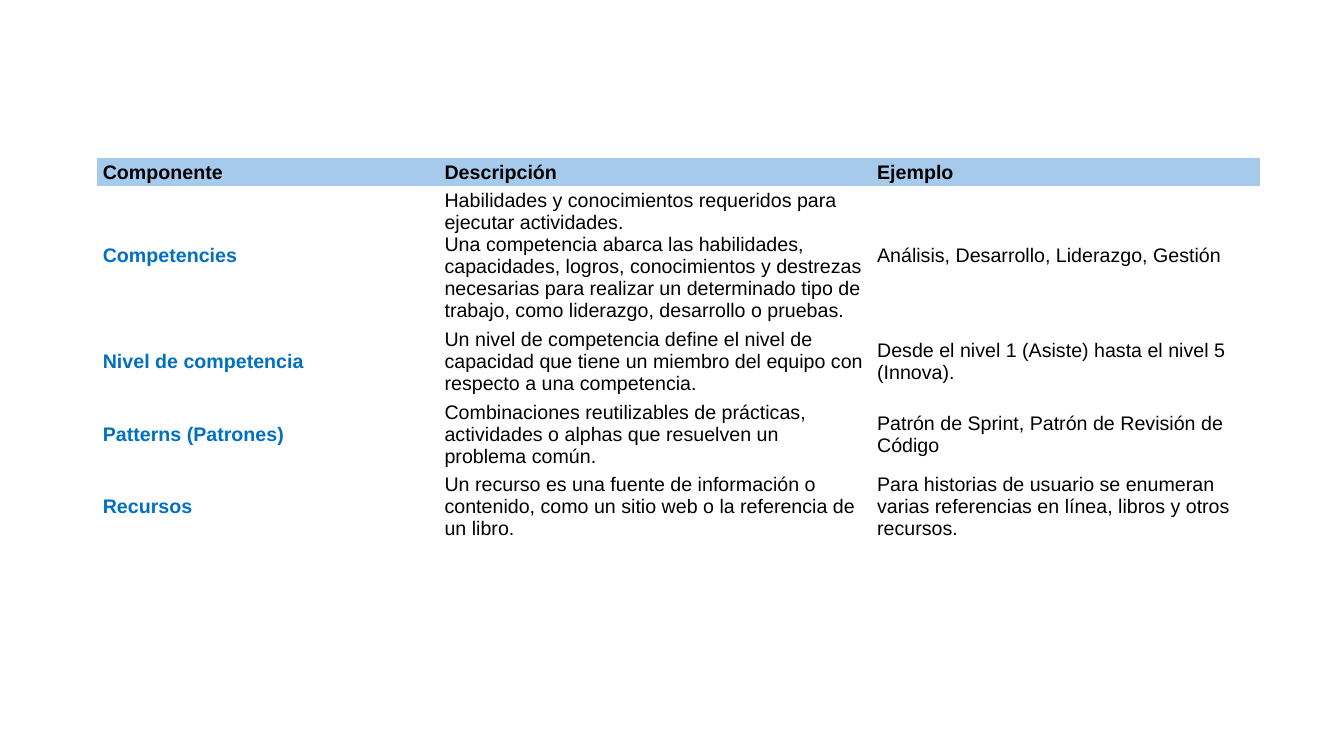
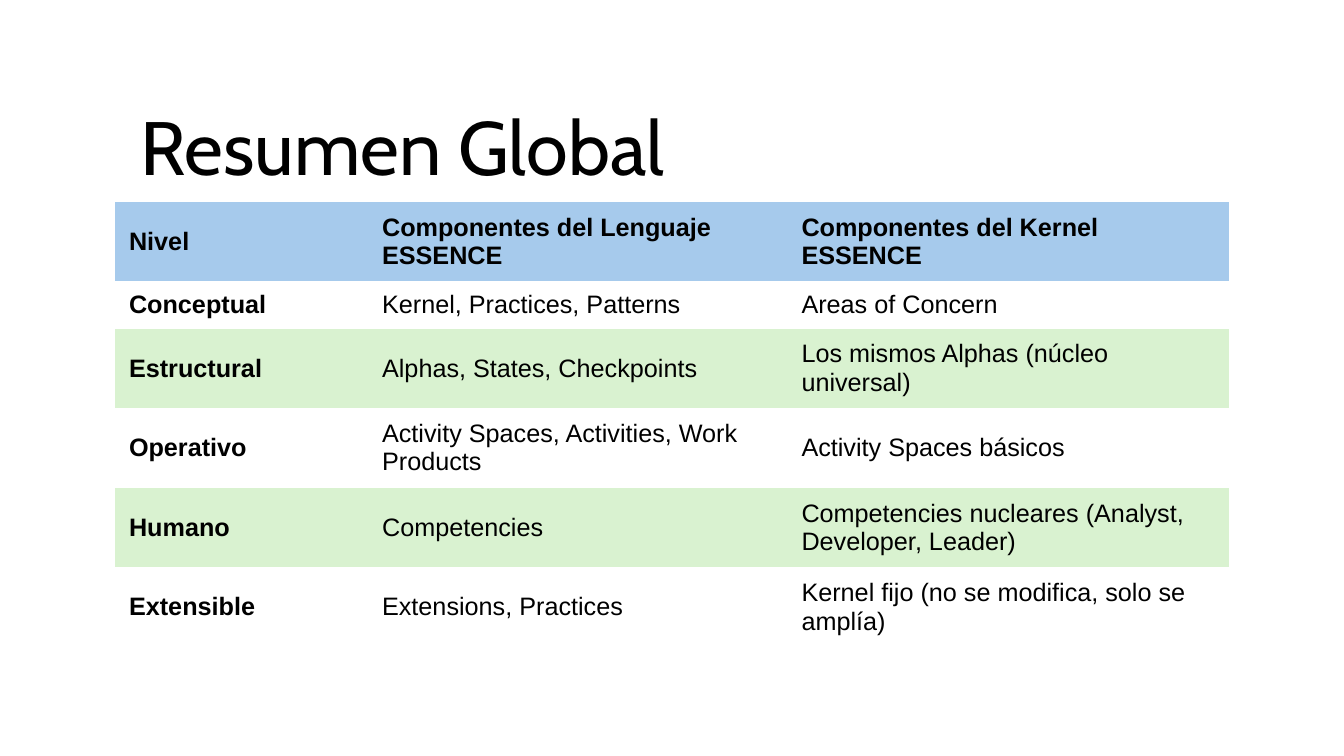
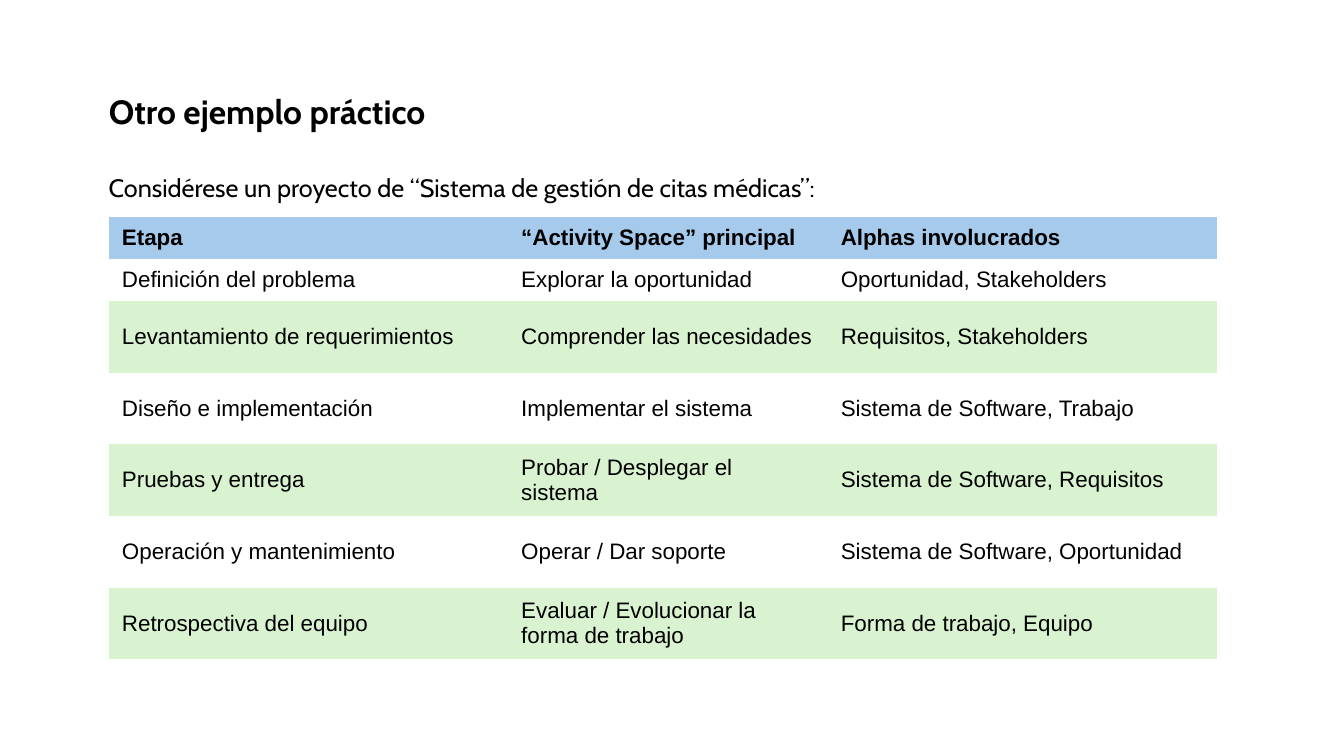
"""Builds three slides of tables on the components of the Essence language."""
from dataclasses import dataclass

from pptx import Presentation
from pptx.dml.color import RGBColor
from pptx.enum.text import MSO_ANCHOR, MSO_AUTO_SIZE, PP_ALIGN
from pptx.util import Pt

PX = 9144
TITLE_ONLY, BLANK = 5, 6
NO_STYLE_NO_GRID = "{2D5ABB26-0587-4C30-8999-92F81FD0307C}"


@dataclass(frozen=True)
class Theme:
    ink: RGBColor = RGBColor(0x00, 0x00, 0x00)
    accent: RGBColor = RGBColor(0x00, 0x70, 0xC0)
    header: RGBColor = RGBColor(0xA6, 0xCA, 0xEC)
    band: RGBColor = RGBColor(0xD9, 0xF2, 0xD0)
    display_font: str = "Cabin"
    table_font: str = "Arial"
    display_size: int = 54
    heading_size: int = 24
    large_size: int = 18
    medium_size: int = 16
    small_size: int = 14


class DeckBuilder:
    def __init__(self, theme, width, height):
        self.theme = theme
        self.deck = Presentation()
        self.deck.slide_width = width * PX
        self.deck.slide_height = height * PX
        self.page = None

    def add_page(self, layout):
        self.page = self.deck.slides.add_slide(self.deck.slide_layouts[layout])

    def style(self, frame, font, size, bold=False, color=None, align=PP_ALIGN.LEFT):
        for paragraph in frame.paragraphs:
            paragraph.alignment = align
            for span in paragraph.runs:
                span.font.name = font
                span.font.size = Pt(size)
                span.font.bold = bold
                span.font.color.rgb = color or self.theme.ink

    def fill_box(self, box, text, place, size, wrap=True, **look):
        box.left, box.top, box.width, box.height = (length * PX for length in place)
        frame = box.text_frame
        frame.text = text
        frame.word_wrap = wrap
        frame.auto_size = MSO_AUTO_SIZE.NONE
        frame.vertical_anchor = MSO_ANCHOR.TOP
        self.style(frame, self.theme.display_font, size, **look)

    def title(self, text, place, size, **look):
        self.fill_box(self.page.shapes.title, text, place, size, **look)

    def text(self, text, place, size, **look):
        box = self.page.shapes.add_textbox(0, 0, 0, 0)
        self.fill_box(box, text, place, size, **look)

    def table(self, rows, corner, widths, heights, size, inset,
              banded=True, bold_labels=True, label_color=None):
        left, top = corner
        grid = self.page.shapes.add_table(
            len(rows), len(widths), left * PX, top * PX,
            sum(widths) * PX, sum(heights) * PX).table
        grid.first_row = grid.horz_banding = False
        grid._tbl.tblPr[0].text = NO_STYLE_NO_GRID
        for column, width in zip(grid.columns, widths):
            column.width = width * PX
        for row, height in zip(grid.rows, heights):
            row.height = height * PX
        for row_index, texts in enumerate(rows):
            is_header = row_index == 0
            for column_index, text in enumerate(texts):
                cell = grid.cell(row_index, column_index)
                is_label = column_index == 0 and not is_header
                cell.text_frame.text = text
                cell.vertical_anchor = MSO_ANCHOR.MIDDLE
                cell.margin_left = cell.margin_right = inset[0] * PX
                cell.margin_top = cell.margin_bottom = inset[1] * PX
                self.style(cell.text_frame, self.theme.table_font, size,
                           bold=is_header or (is_label and bold_labels),
                           color=label_color if is_label else None)
                if is_header or (banded and row_index % 2 == 0):
                    cell.fill.solid()
                    cell.fill.fore_color.rgb = (
                        self.theme.header if is_header else self.theme.band)
                else:
                    cell.fill.background()


COMPONENTS = [
    ("Componente", "Descripción", "Ejemplo"),
    ("Competencies",
     "Habilidades y conocimientos requeridos para ejecutar actividades.\n"
     "Una competencia abarca las habilidades, capacidades, logros, conocimientos "
     "y destrezas necesarias para realizar un determinado tipo de trabajo, como "
     "liderazgo, desarrollo o pruebas.",
     "Análisis, Desarrollo, Liderazgo, Gestión"),
    ("Nivel de competencia",
     "Un nivel de competencia define el nivel de capacidad que tiene un miembro "
     "del equipo con respecto a una competencia.",
     "Desde el nivel 1 (Asiste) hasta el nivel 5 (Innova)."),
    ("Patterns (Patrones)",
     "Combinaciones reutilizables de prácticas, actividades o alphas que "
     "resuelven un problema común.",
     "Patrón de Sprint, Patrón de Revisión de Código"),
    ("Recursos",
     "Un recurso es una fuente de información o contenido, como un sitio web o "
     "la referencia de un libro.",
     "Para historias de usuario se enumeran varias referencias en línea, libros "
     "y otros recursos."),
]

SUMMARY = [
    ("Nivel", "Componentes del Lenguaje ESSENCE", "Componentes del Kernel ESSENCE"),
    ("Conceptual", "Kernel, Practices, Patterns", "Areas of Concern"),
    ("Estructural", "Alphas, States, Checkpoints",
     "Los mismos Alphas (núcleo universal)"),
    ("Operativo", "Activity Spaces, Activities, Work Products",
     "Activity Spaces básicos"),
    ("Humano", "Competencies",
     "Competencies nucleares (Analyst, Developer, Leader)"),
    ("Extensible", "Extensions, Practices",
     "Kernel fijo (no se modifica, solo se amplía)"),
]

STAGES = [
    ("Etapa", "“Activity Space” principal", "Alphas involucrados"),
    ("Definición del problema", "Explorar la oportunidad",
     "Oportunidad, Stakeholders"),
    ("Levantamiento de requerimientos", "Comprender las necesidades",
     "Requisitos, Stakeholders"),
    ("Diseño e implementación", "Implementar el sistema",
     "Sistema de Software, Trabajo"),
    ("Pruebas y entrega", "Probar / Desplegar el sistema",
     "Sistema de Software, Requisitos"),
    ("Operación y mantenimiento", "Operar / Dar soporte",
     "Sistema de Software, Oportunidad"),
    ("Retrospectiva del equipo", "Evaluar / Evolucionar la forma de trabajo",
     "Forma de trabajo, Equipo"),
]


def main():
    theme = Theme()
    builder = DeckBuilder(theme, 1333, 750)

    builder.add_page(BLANK)
    builder.table(COMPONENTS, (96, 157), [339, 429, 386], [28, 138] + [72] * 3,
                  theme.small_size, (6, 3), banded=False, label_color=theme.accent)

    builder.add_page(TITLE_ONLY)
    builder.title("Resumen Global", (117, 94, 564, 101), theme.display_size,
                  wrap=False, align=PP_ALIGN.CENTER)
    builder.table(SUMMARY, (114, 200), [251, 416, 438], [79, 47] + [79] * 4,
                  theme.large_size, (14, 7))

    builder.add_page(TITLE_ONLY)
    builder.title("Otro ejemplo práctico", (98, 85, 1098, 50), theme.heading_size,
                  bold=True)
    builder.text("Considérese un proyecto de “Sistema de gestión de citas médicas”:",
                 (98, 166, 1098, 40), theme.large_size)
    builder.table(STAGES, (108, 215), [396, 317, 386], [42] * 2 + [71] * 5,
                  theme.medium_size, (13, 6), bold_labels=False)

    builder.deck.save("out.pptx")


if __name__ == "__main__":
    main()
